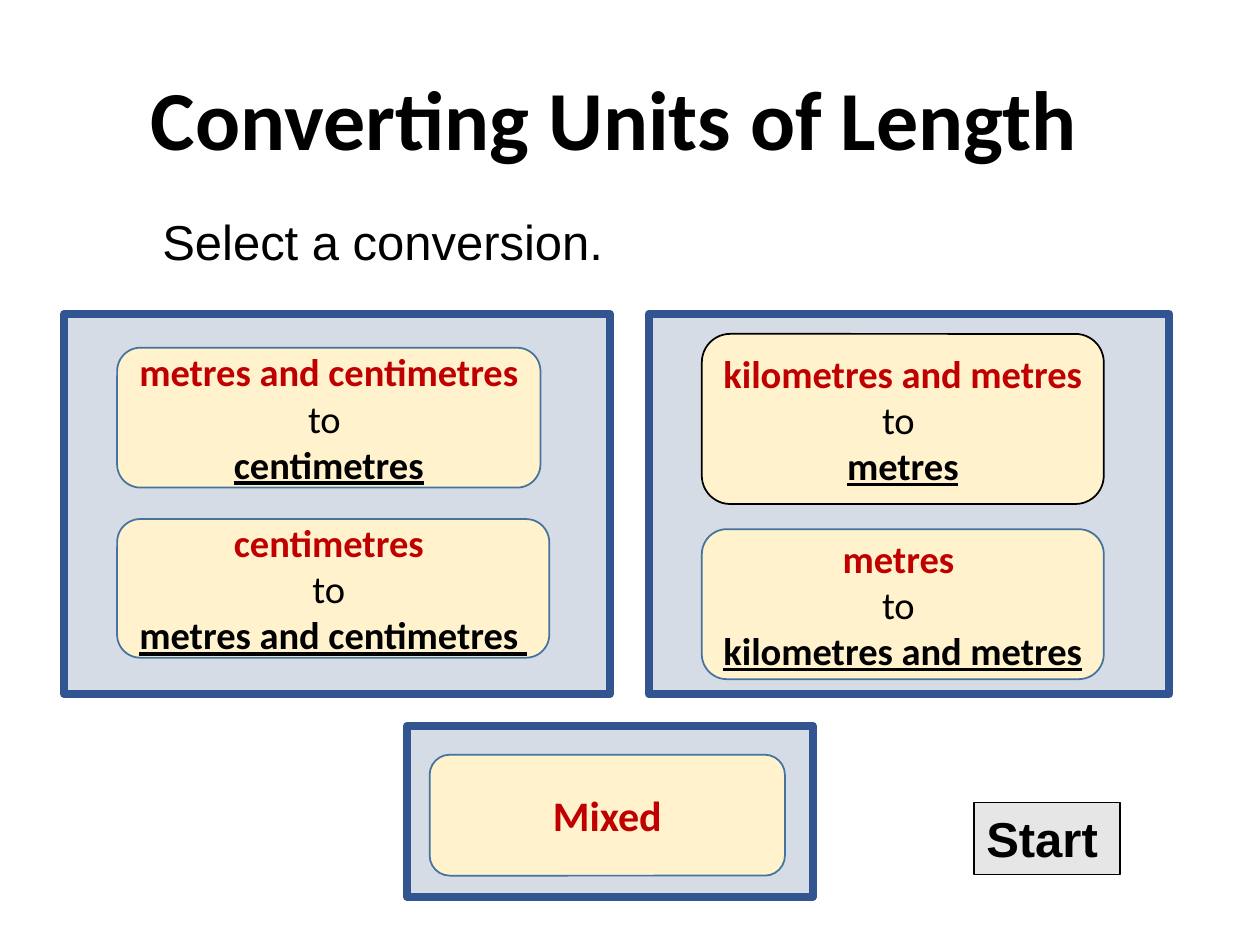
from pptx import Presentation
from pptx import util as u
from pptx.dml.color import RGBColor
from pptx.enum import shapes, text

COLOURS = {
    "black": "000000", "red": "C00000", "panel": "D6DCE5", "panel line": "325491",
    "button": "FFF2CC", "button line": "43739E", "grey": "E7E6E6",
}

# Run styles: size, font, colour, bold, underline
STYLES = {
    "title": (48, "Calibri", "black", True, False),
    "prompt": (28, "Arial", "black", False, False),
    "start": (28, "Arial", "black", True, False),
    "mixed": (24, "Calibri", "red", True, False),
    "from": (22, "Calibri", "red", True, False),
    "to": (22, "Calibri", "black", False, False),
    "target": (22, "Calibri", "black", True, True),
}

# Text boxes: place, wrap, words, style
TEXTS = [
    ((1.1, 0.48, 7.63, 0.91), False, "Converting Units of Length", "title"),
    ((1.19, 1.63, 4.76, 0.57), True, "Select a conversion.", "prompt"),
]

# Panels, each with its buttons: place, line colour, paragraphs of (words, style)
PANELS = [
    ((3.23, 5.76, 3.22, 1.36), [
        ((3.41, 5.99, 2.82, 0.96), "button line", [[("Mixed", "mixed")]]),
    ]),
    ((0.51, 2.49, 4.33, 3.02), [
        ((0.93, 2.76, 3.36, 1.11), "button line",
         [[("metres and centimetres ", "from"), ("to ", "to")], [("centimetres", "target")]]),
        ((0.93, 4.12, 3.43, 1.1), "button line",
         [[("centimetres ", "from")], [("to ", "to")], [("metres and centimetres ", "target")]]),
    ]),
    ((5.15, 2.49, 4.13, 3.02), [
        ((5.57, 2.65, 3.19, 1.35), "black",
         [[("kilometres and metres ", "from"), ("to ", "to")], [("metres", "target")]]),
        ((5.57, 4.2, 3.19, 1.19), "button line",
         [[("metres ", "from")], [("to ", "to")], [("kilometres and metres", "target")]]),
    ]),
]
START = (7.73, 6.37, 1.16, 0.57)


def colour(name):
    return RGBColor.from_string(COLOURS[name])


def write(shape, paragraphs, align, anchor, wrap=True):
    frame = shape.text_frame
    frame.word_wrap = wrap
    frame.vertical_anchor = anchor
    for index, runs in enumerate(paragraphs):
        paragraph = frame.add_paragraph() if index else frame.paragraphs[0]
        paragraph.alignment = align
        for words, style in runs:
            run = paragraph.add_run()
            run.text = words
            size, font, ink, bold, underline = STYLES[style]
            run.font.size = u.Pt(size)
            run.font.name = font
            run.font.color.rgb = colour(ink)
            run.font.bold = bold
            run.font.underline = underline


def add_box(parent, kind, place, fill, line, width):
    shape = parent.add_shape(kind, *map(u.Inches, place))
    shape.shadow.inherit = False
    shape.fill.solid()
    shape.fill.fore_color.rgb = colour(fill)
    shape.line.color.rgb = colour(line)
    shape.line.width = u.Pt(width)
    return shape


presentation = Presentation()
presentation.slide_width = u.Inches(10)
presentation.slide_height = u.Inches(7.5)
slide = presentation.slides.add_slide(presentation.slide_layouts[6])

# Title and prompt
for place, wrap, words, style in TEXTS:
    box = slide.shapes.add_textbox(*map(u.Inches, place))
    write(box, [[(words, style)]], text.PP_ALIGN.LEFT, text.MSO_ANCHOR.TOP, wrap)
    box.text_frame.auto_size = text.MSO_AUTO_SIZE.SHAPE_TO_FIT_TEXT

# Panels grouped with their buttons
for panel_place, buttons in PANELS:
    group = slide.shapes.add_group_shape()
    add_box(group.shapes, shapes.MSO_SHAPE.RECTANGLE, panel_place, "panel", "panel line", 4.5)
    for place, line, paragraphs in buttons:
        button = add_box(group.shapes, shapes.MSO_SHAPE.ROUNDED_RECTANGLE, place,
                         "button", line, 1)
        write(button, paragraphs, text.PP_ALIGN.CENTER, text.MSO_ANCHOR.MIDDLE)

# Start button
start = add_box(slide.shapes, shapes.MSO_SHAPE.RECTANGLE, START, "grey", "black", 0.75)
write(start, [[("Start", "start")]], text.PP_ALIGN.LEFT, text.MSO_ANCHOR.TOP)
start.text_frame.auto_size = text.MSO_AUTO_SIZE.SHAPE_TO_FIT_TEXT

presentation.save("out.pptx")
